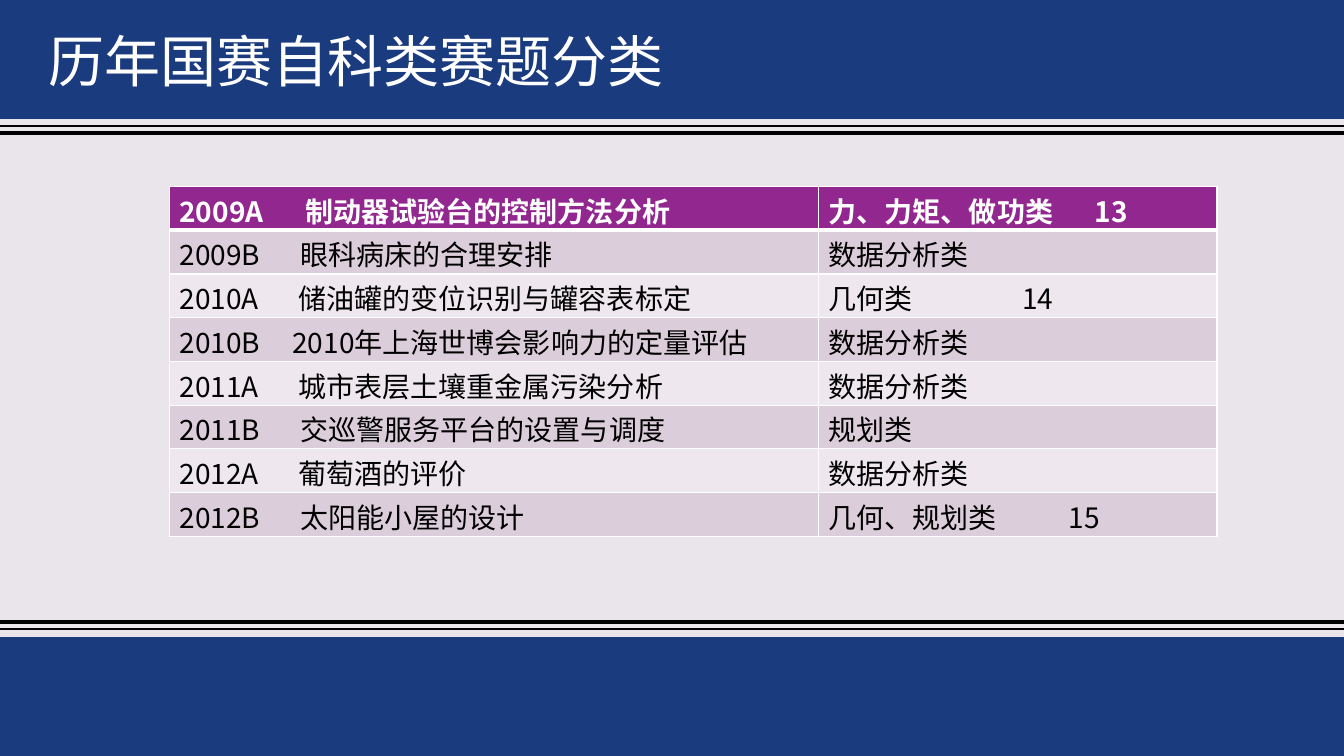
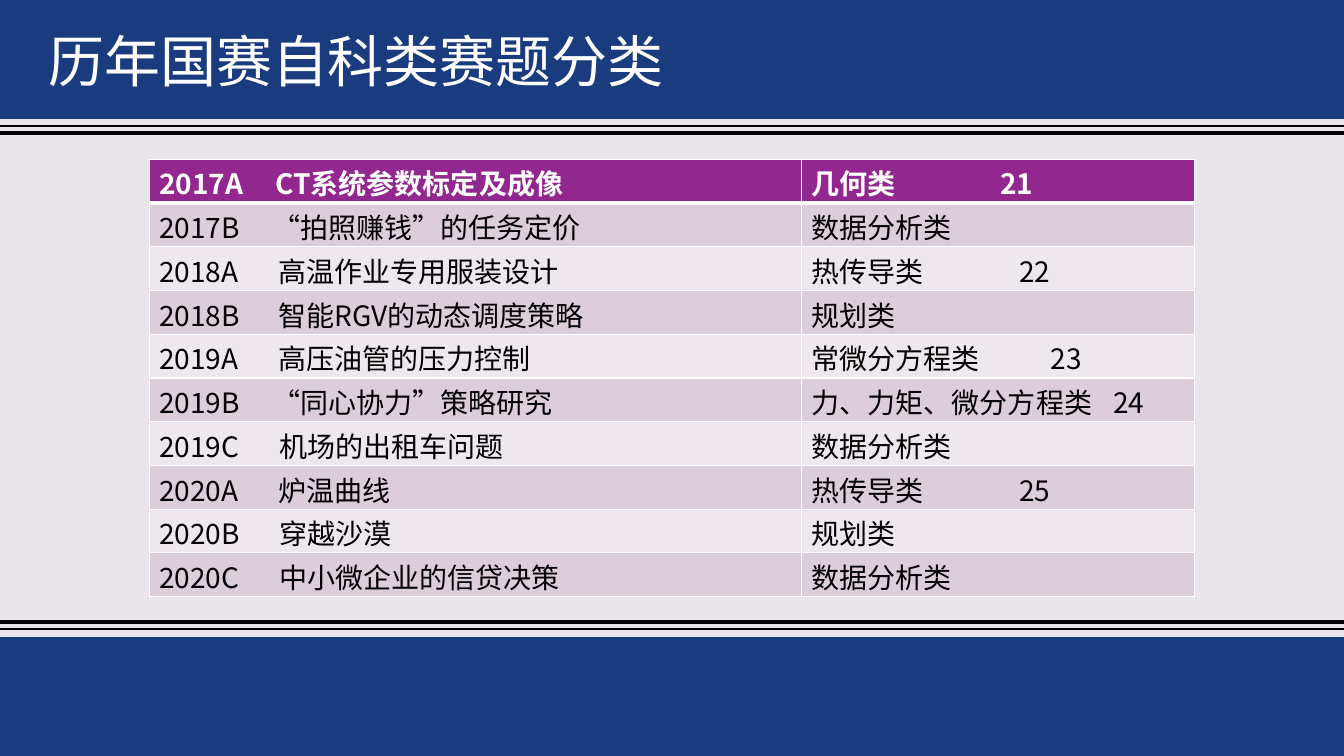
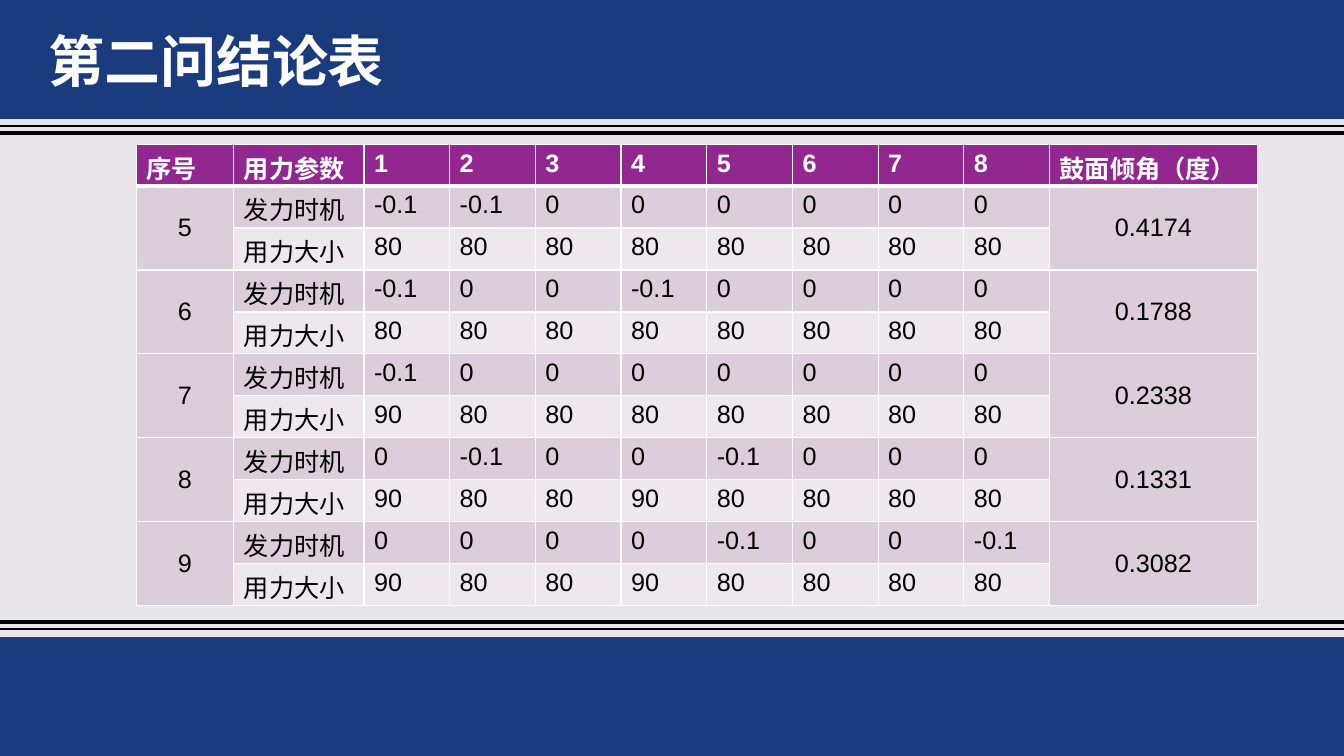
"""Build three slides of contest tables between navy bands."""
from lxml import etree
from pptx import Presentation
from pptx.dml.color import RGBColor
from pptx.enum.shapes import MSO_CONNECTOR, MSO_SHAPE
from pptx.enum.text import MSO_ANCHOR, MSO_AUTO_SIZE, PP_ALIGN
from pptx.oxml.ns import qn
from pptx.util import Emu, Pt

STRAIGHT = MSO_CONNECTOR.STRAIGHT
RECT = MSO_SHAPE.RECTANGLE
MIDDLE = MSO_ANCHOR.MIDDLE
GROW = MSO_AUTO_SIZE.SHAPE_TO_FIT_TEXT
CENTER = PP_ALIGN.CENTER

PAPER = RGBColor(0xEA, 0xE5, 0xEB)
NAVY = RGBColor(0x1B, 0x3B, 0x7F)
PLUM = RGBColor(0x92, 0x27, 0x8F)
MAUVE = RGBColor(0xDC, 0xCD, 0xDB)
PALE = RGBColor(0xEE, 0xE8, 0xEE)
WHITE = RGBColor(0xFF, 0xFF, 0xFF)
BLACK = RGBColor(0, 0, 0)

SANS = "Noto Sans CJK SC"
ARIAL = "Arial"
WIDE, HIGH, BAND = 1333, 750, 118
RULES = ((617, 3), (624, 1), (132, 3), (125, 1))
TOPICS = "历年国赛自科类赛题分类"

EARLY = (
    (("2009A", 125, "制动器试验台的控制方法分析"), ("力、力矩、做功类", 264, "13")),
    (("2009B", 120, "眼科病床的合理安排"), "数据分析类"),
    (("2010A", 118, "储油罐的变位识别与罐容表标定"), ("几何类", 192, "14")),
    (("2010B", 112, "2010年上海世博会影响力的定量评估"), "数据分析类"),
    (("2011A", 118, "城市表层土壤重金属污染分析"), "数据分析类"),
    (("2011B", 120, "交巡警服务平台的设置与调度"), "规划类"),
    (("2012A", 118, "葡萄酒的评价"), "数据分析类"),
    (("2012B", 120, "太阳能小屋的设计"), ("几何、规划类", 238, "15")),
)
LATE = (
    (("2017A", 115, "CT系统参数标定及成像"), ("几何类", 187, "21")),
    (("2017B", 112, "“拍照赚钱”的任务定价"), "数据分析类"),
    (("2018A", 118, "高温作业专用服装设计"), ("热传导类", 206, "22")),
    (("2018B", 118, "智能RGV的动态调度策略"), "规划类"),
    (("2019A", 118, "高压油管的压力控制"), ("常微分方程类", 237, "23")),
    (("2019B", 112, "“同心协力”策略研究"), ("力、力矩、微分方程类", 299, "24")),
    (("2019C", 119, "机场的出租车问题"), "数据分析类"),
    (("2020A", 118, "炉温曲线"), ("热传导类", 206, "25")),
    (("2020B", 119, "穿越沙漠"), "规划类"),
    (("2020C", 119, "中小微企业的信贷决策"), "数据分析类"),
)
TRIALS = (
    ("5", "-0.1 -0.1 0 0 0 0 0 0", "80 80 80 80 80 80 80 80", "0.4174"),
    ("6", "-0.1 0 0 -0.1 0 0 0 0", "80 80 80 80 80 80 80 80", "0.1788"),
    ("7", "-0.1 0 0 0 0 0 0 0", "90 80 80 80 80 80 80 80", "0.2338"),
    ("8", "0 -0.1 0 0 -0.1 0 0 0", "90 80 80 90 80 80 80 80", "0.1331"),
    ("9", "0 0 0 0 -0.1 0 0 -0.1", "90 80 80 90 80 80 80 80", "0.3082"),
)


def px(num):
    """Turn px, a hundred to the inch, into EMU."""
    return Emu(num * 9144)


def style(para, face, size, color, bold=False):
    """Set the font of a paragraph for Latin and Chinese text."""
    font = para.font
    font.name, font.size, font.bold = face, Pt(size), bold
    font.color.rgb = color
    props = para._p.pPr.find(qn("a:defRPr"))
    etree.SubElement(props, qn("a:ea"), typeface=SANS)


def band(slide, top):
    """Draw a navy band across the slide."""
    shape = slide.shapes.add_shape(RECT, 0, px(top), px(WIDE), px(BAND))
    shape.shadow.inherit = False
    shape.fill.solid()
    shape.fill.fore_color.rgb = NAVY
    shape.line.fill.background()


def rule(slide, top, width):
    """Draw a black line across the slide."""
    line = slide.shapes.add_connector(STRAIGHT, px(WIDE), px(top), 0, px(top))
    line.line.color.rgb = BLACK
    line.line.width = Pt(width)
    etree.SubElement(line._element.spPr, qn("a:effectLst"))


def page(deck, title, width, bold=False):
    """Add a slide with its lines, bands and title."""
    slide = deck.slides.add_slide(deck.slide_layouts[6])
    for top, weight in RULES:
        rule(slide, top, weight)
    for top in (HIGH - BAND, 0):
        band(slide, top)
    box = slide.shapes.add_textbox(px(38), px(21), px(width), px(77))
    frame = box.text_frame
    frame.word_wrap = True
    frame.auto_size = GROW
    frame.vertical_anchor = MIDDLE
    para = frame.paragraphs[0]
    para.text = title
    style(para, SANS, 40, WHITE, bold)
    return slide


def edge(cell, side, width):
    """Draw one white border of a cell."""
    line = etree.SubElement(cell._tc.get_or_add_tcPr(), qn("a:ln" + side), w=str(Pt(width)))
    fill = etree.SubElement(line, qn("a:solidFill"))
    etree.SubElement(fill, qn("a:srgbClr"), val=str(WHITE))


def tab(para, left):
    """Give a paragraph one left tab stop."""
    stops = etree.SubElement(para._p.get_or_add_pPr(), qn("a:tabLst"))
    etree.SubElement(stops, qn("a:tab"), pos=str(px(left)), algn="l")


def write(cell, text, row, face, size, line, drop):
    """Fill one cell; a tuple holds text, tab stop and text."""
    for side in "LRTB":
        thick = (row, side) in ((0, "B"), (1, "T"))
        edge(cell, side, 3 if thick else 1)
    cell.fill.solid()
    cell.fill.fore_color.rgb = (MAUVE if row % 2 else PALE) if row else PLUM
    para = cell.text_frame.paragraphs[0]
    if isinstance(text, tuple):
        left, stop, right = text
        para.text = f"{left}\t{right}"
        tab(para, stop)
    else:
        para.text = text
    if not (isinstance(text, str) and text.isascii()):
        para.line_spacing = Pt(line)
        cell.margin_top, cell.margin_bottom = px(drop), 0
    style(para, face, size, BLACK if row else WHITE, row == 0)


def grid(slide, left, top, high, cols, rows, face, size, line, drop):
    """Add a table with equal rows and return it."""
    frame = slide.shapes.add_table(
        len(rows), len(cols), px(left), px(top), px(sum(cols)), px(high))
    table = frame.table
    table.first_row = table.horz_banding = False
    for col, width in zip(table.columns, cols):
        col.width = px(width)
    for row, texts in enumerate(rows):
        for col, text in enumerate(texts):
            write(table.cell(row, col), text, row, face, size, line, drop)
    return table


def join(table, row, col):
    """Merge a cell with the one below and center its text."""
    cell = table.cell(row, col)
    cell.merge(table.cell(row + 1, col))
    cell.vertical_anchor = MIDDLE
    cell.text_frame.paragraphs[0].alignment = CENTER


def trial_rows():
    """List the rows of the results table."""
    rows = [["序号", "用力参数", *"12345678", "鼓面倾角（度）"]]
    for num, times, loads, angle in TRIALS:
        rows.append([num, "发力时机", *times.split(), angle])
        rows.append(["", "用力大小", *loads.split(), ""])
    return rows


def main():
    """Build and save the deck."""
    deck = Presentation()
    deck.slide_width, deck.slide_height = px(WIDE), px(HIGH)
    back = deck.slide_master.background.fill
    back.solid()
    back.fore_color.rgb = PAPER

    topic = (SANS, 20, 24, 10)
    grid(page(deck, TOPICS, 847), 168, 185, 347, (644, 395), EARLY, *topic)
    grid(page(deck, TOPICS, 847), 148, 158, 433, (647, 390), LATE, *topic)

    cols = (97, 129, *[85] * 8, 206)
    last = page(deck, "第二问结论表", 476, True)
    table = grid(last, 135, 143, 458, cols, trial_rows(), ARIAL, 18, 20, 13)
    for row in range(1, 2 * len(TRIALS), 2):
        for col in (0, len(cols) - 1):
            join(table, row, col)
    deck.save("out.pptx")


if __name__ == "__main__":
    main()
